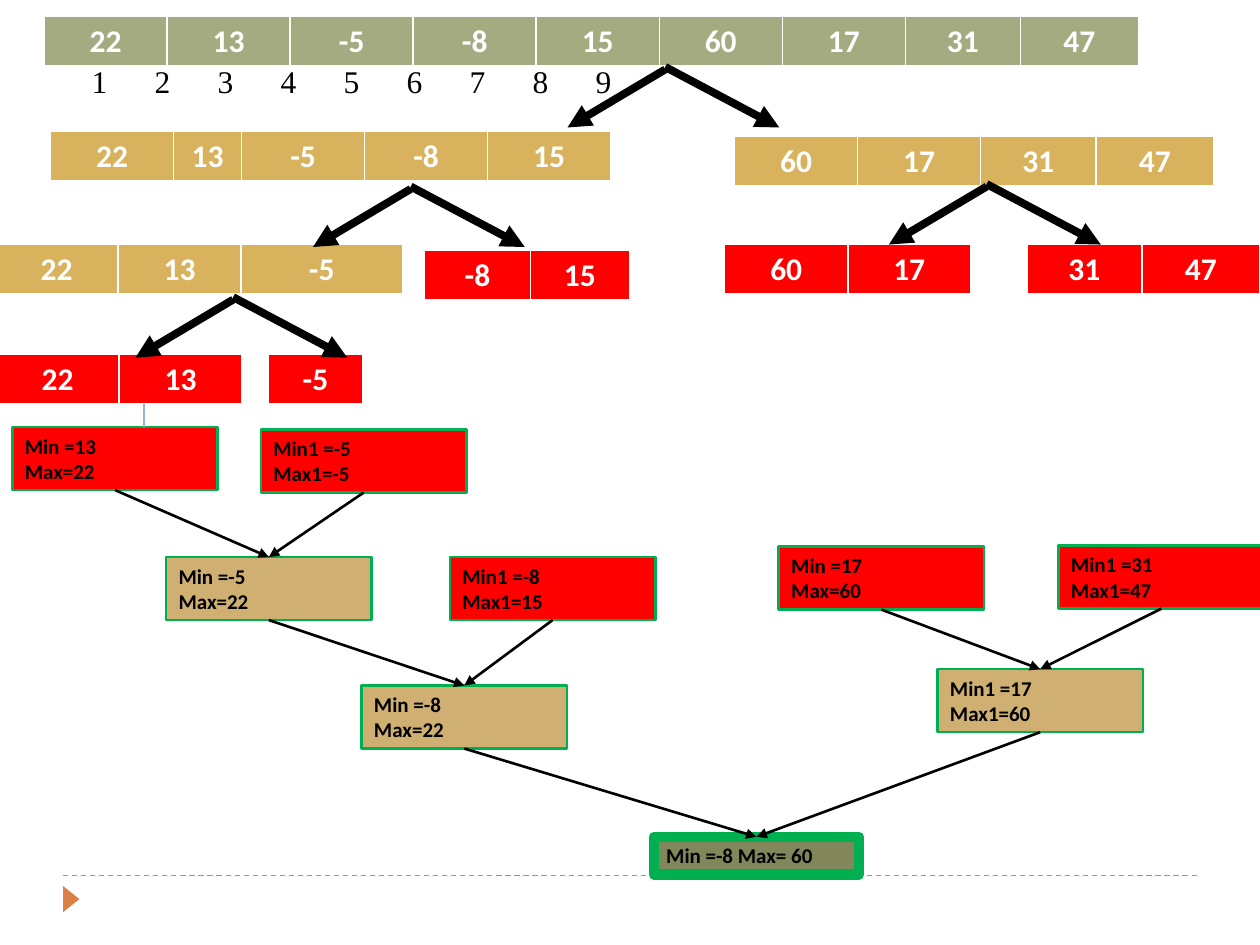
from lxml.etree import SubElement
from pptx import Presentation
from pptx.dml.color import RGBColor
from pptx.enum.dml import MSO_LINE as Dash
from pptx.enum.shapes import MSO_CONNECTOR as Conn, MSO_SHAPE as Shape
from pptx.enum.text import MSO_ANCHOR as Anchor, MSO_AUTO_SIZE as Fit, PP_ALIGN as Align
from pptx.oxml.ns import qn
from pptx.util import Cm, Pt

RED, GOLD, TAN, SAGE, OLIVE = "FF0000", "D8B25C", "D0AF72", "A5AB81", "81875A"
GREEN, ORANGE, BLUE, BLACK, WHITE = "00B050", "DD8047", "94B6D2", "000000", "FFFFFF"
ROW = 1.02
COL, COL8, COL9 = 2.48, 2.32, 2.38
BOX_W, BOX_H = 4.14, 1.27

# left, top, fill, values, column widths
ARRAYS = [
    (0.89, 0.33, SAGE, "22 13 -5 -8 15 60 17 31 47", [COL] * 7 + [COL8, COL9]),
    (1.02, 2.64, GOLD, "22 13 -5 -8 15", [COL, 1.37, COL, COL, COL]),
    (14.81, 2.74, GOLD, "60 17 31 47", [COL, COL, COL8, COL9]),
    (-0.1, 4.93, GOLD, "22 13 -5", [COL, COL, 3.25]),
    (8.56, 5.05, RED, "-8 15", [2.13, 2]),
    (14.61, 4.93, RED, "60 17", [COL, COL]),
    (20.7, 4.93, RED, "31 47", [COL8, COL9]),
    (-0.08, 7.14, RED, "22 13", [COL, COL]),
    (5.41, 7.14, RED, "-5", [1.9]),
]
PEAKS = [(13.41, 1.35), (8.28, 3.76), (19.89, 3.71), (4.7, 5.99)]

# key: left, top, fill, lines
RESULTS = {
    "a": (0.25, 8.61, RED, ["Min =13", "Max=22"]),
    "b": (5.26, 8.66, RED, ["Min1 =-5", "Max1=-5"]),
    "c": (9.07, 11.23, RED, ["Min1 =-8", "Max1=15"]),
    "d": (15.7, 11.02, RED, ["Min =17", "Max=60"]),
    "e": (21.34, 11, RED, ["Min1 =31", "Max1=47"]),
    "ab": (3.35, 11.23, TAN, ["Min =-5", "Max=22"]),
    "abc": (7.29, 13.82, TAN, ["Min =-8", "Max=22"]),
    "de": (18.9, 13.49, TAN, ["Min1 =17", "Max1=60"]),
    "all": (13.18, 16.87, OLIVE, ["Min =-8 Max= 60"]),
}
MERGES = [("a", "ab"), ("b", "ab"), ("ab", "abc"), ("c", "abc"),
          ("d", "de"), ("e", "de"), ("abc", "all"), ("de", "all")]


def rgb(code):
    return RGBColor.from_string(code)


def style(par, size, color, name="Calibri", bold=True):
    font = par.font
    font.size, font.name, font.bold = Pt(size), name, bold
    font.color.rgb = rgb(color)


def add_line(slide, x1, y1, x2, y2, color, width, arrow=False):
    line = slide.shapes.add_connector(Conn.STRAIGHT, Cm(x1), Cm(y1), Cm(x2), Cm(y2))
    line.line.color.rgb, line.line.width = rgb(color), Pt(width)
    props = line.line._get_or_add_ln()
    if arrow:
        SubElement(props, qn("a:tailEnd"), type="triangle")
    SubElement(props.getparent(), qn("a:effectLst"))
    return line


def add_border(cell, side, width):
    edge = SubElement(cell._tc.get_or_add_tcPr(), qn("a:" + side), w=str(Pt(width)))
    SubElement(SubElement(edge, qn("a:solidFill")), qn("a:srgbClr"), val=WHITE)


def add_array(slide, left, top, fill, values, widths):
    frame = slide.shapes.add_table(1, len(widths), Cm(left), Cm(top),
                                   Cm(sum(widths)), Cm(ROW))
    table = frame.table
    table.rows[0].height = Cm(ROW)
    for col, width, cell, value in zip(table.columns, widths, table.iter_cells(),
                                       values.split()):
        col.width = Cm(width)
        cell.text = value
        for side, size in (("lnL", 1), ("lnR", 1), ("lnT", 1), ("lnB", 3)):
            add_border(cell, side, size)
        cell.fill.solid()
        cell.fill.fore_color.rgb = rgb(fill)
        par = cell.text_frame.paragraphs[0]
        par.alignment = Align.CENTER
        style(par, 18, WHITE)


def add_split(slide, x, y):
    add_line(slide, x, y + 0.05, x - 1.97, y + 1.22, BLACK, 4.5, True)
    add_line(slide, x, y, x + 2.3, y + 1.22, BLACK, 4.5, True)


def add_result(slide, left, top, fill, lines):
    final = len(lines) == 1
    box = slide.shapes.add_shape(Shape.RECTANGLE, Cm(left), Cm(top), Cm(BOX_W),
                                 Cm(0.76 if final else BOX_H))
    box.shadow.inherit = False
    box.fill.solid()
    box.fill.fore_color.rgb = rgb(fill)
    box.line.color.rgb, box.line.width = rgb(GREEN), Pt(6 if final else 1.5)
    frame = box.text_frame
    frame.word_wrap, frame.auto_size = True, Fit.SHAPE_TO_FIT_TEXT
    frame.vertical_anchor = Anchor.TOP
    frame.text = "\n".join(lines)
    for par in frame.paragraphs:
        par.alignment = Align.LEFT
        style(par, 12, BLACK)
    return box


def add_merges(slide):
    boxes = {key: add_result(slide, *item) for key, item in RESULTS.items()}
    for start, end in MERGES:
        line = add_line(slide, 0, 0, 1, 1, BLACK, 1.5, True)
        line.begin_connect(boxes[start], 2)  # bottom middle
        line.end_connect(boxes[end], 0)  # top middle


def add_index(slide, left, top, width):
    frame = slide.shapes.add_textbox(Cm(left), Cm(top), Cm(width), Cm(ROW)).text_frame
    frame.word_wrap, frame.auto_size = True, Fit.SHAPE_TO_FIT_TEXT
    frame.text = "\t".join(str(n) for n in range(1, 10))
    style(frame.paragraphs[0], 18, BLACK, "Times New Roman", False)


def add_footer(slide, left, top, width):
    rule = add_line(slide, left, top, left + width, top, ORANGE, 0.75)
    rule.line.dash_style = Dash.DASH
    mark = slide.shapes.add_shape(Shape.ISOSCELES_TRIANGLE, Cm(left - 0.1),
                                  Cm(top + 0.31), Cm(0.53), Cm(0.33))
    mark.rotation = 90
    mark.shadow.inherit = False
    mark.fill.solid()
    mark.fill.fore_color.rgb = rgb(ORANGE)
    mark.line.fill.background()


def main():
    deck = Presentation()
    deck.slide_width, deck.slide_height = Cm(25.4), Cm(19.05)
    slide = deck.slides.add_slide(deck.slide_layouts[6])
    add_footer(slide, 1.27, 17.65, 22.86)
    # Splitting the array
    for item in ARRAYS:
        add_array(slide, *item)
    for peak in PEAKS:
        add_split(slide, *peak)
    # Merging the results
    add_merges(slide)
    add_line(slide, 2.9, 8.15, 2.9, 8.61, BLUE, 0.75)
    add_index(slide, 1.6, 1.12, 21.64)
    deck.save("out.pptx")


if __name__ == "__main__":
    main()
